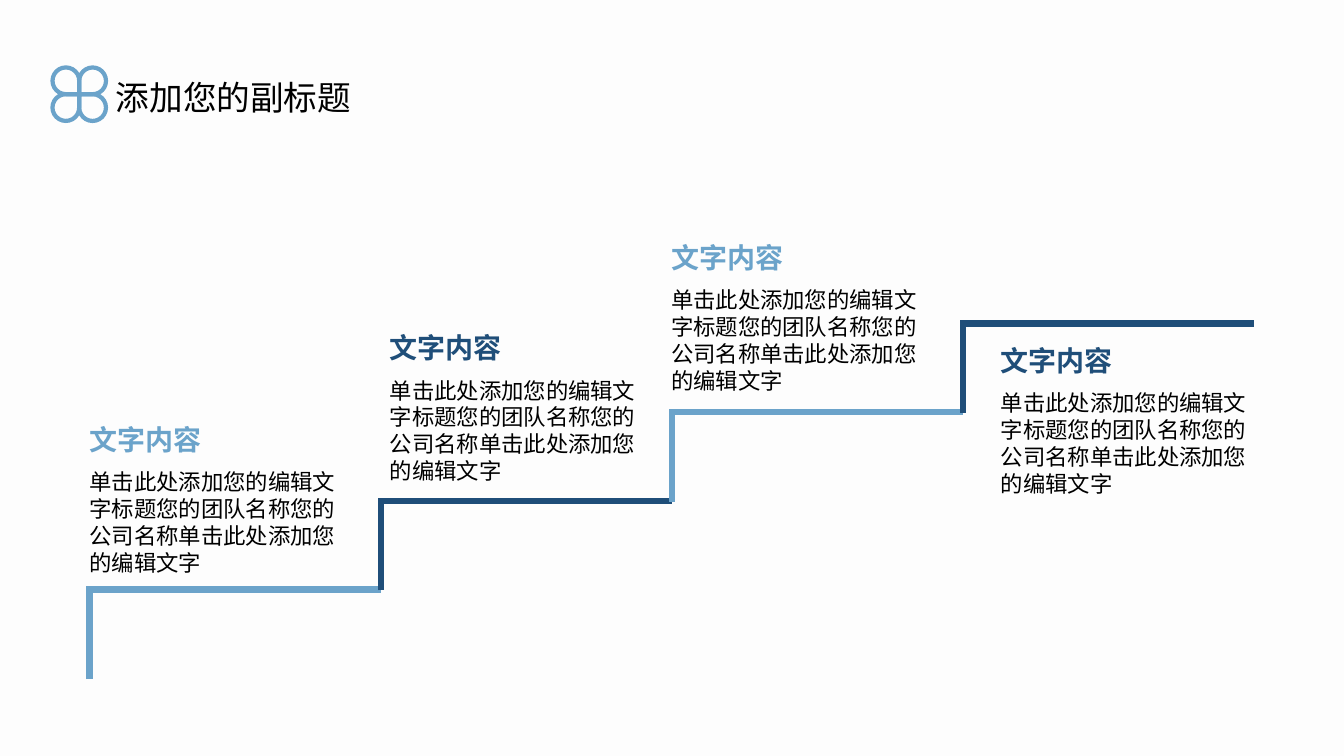
from pptx import Presentation
from pptx.dml.color import RGBColor
from pptx.enum.shapes import MSO_SHAPE
from pptx.enum.text import MSO_ANCHOR, MSO_AUTO_SIZE, PP_ALIGN
from pptx.oxml.ns import qn
from pptx.util import Pt
from lxml.etree import SubElement

LIGHT = RGBColor(0x6B, 0xA3, 0xCA)
DARK = RGBColor(0x1F, 0x4E, 0x79)
BLACK = RGBColor(0, 0, 0)
PAPER = RGBColor(0xFD, 0xFD, 0xFD)

CJK_FONT = "Noto Sans CJK SC"
TITLE = {"size": Pt(24), "name": CJK_FONT, "bold": False}
HEADING = {"size": Pt(20), "name": CJK_FONT, "bold": True}
BODY = {"size": Pt(16), "name": "Open Sans", "bold": False}
LINE_HEIGHT = 1.2

HEADING_TEXT = "文字内容"
BODY_TEXT = "单击此处添加您的编辑文字标题您的团队名称您的公司名称单击此处添加您的编辑文字"


class StairSlide:
    """Holds the current slide and its drawing style."""

    def __init__(self, prs):
        self.s = prs.slides.add_slide(prs.slide_layouts[5])
        fill = self.s.background.fill
        fill.solid()
        fill.fore_color.rgb = PAPER

    def set_text(self, sp, text, style, color):
        tf = sp.text_frame
        frame = {"word_wrap": True, "auto_size": MSO_AUTO_SIZE.NONE,
                 "vertical_anchor": MSO_ANCHOR.TOP, "margin_top": Pt(5),
                 "margin_bottom": Pt(3.6), "margin_left": Pt(7.2),
                 "margin_right": Pt(7.2)}
        for key, value in frame.items():
            setattr(tf, key, value)
        p = tf.paragraphs[0]
        p.alignment = PP_ALIGN.LEFT
        p.line_spacing = Pt(style["size"].pt * LINE_HEIGHT)
        r = p.add_run()
        r.text = text
        for key, value in style.items():
            setattr(r.font, key, value)
        r.font.color.rgb = color
        ea = SubElement(r._r.get_or_add_rPr(), qn("a:ea"))
        ea.set("typeface", CJK_FONT)

    def title(self, text, x, y, w, h):
        sp = self.s.shapes.title
        box = {"left": x, "top": y, "width": w, "height": h}
        for key, value in box.items():
            setattr(sp, key, Pt(value))
        self.set_text(sp, text, TITLE, BLACK)

    def text(self, text, x, y, w, h, style, color):
        sp = self.s.shapes.add_textbox(Pt(x), Pt(y), Pt(w), Pt(h))
        self.set_text(sp, text, style, color)

    def outline(self, sp, color, width):
        sp.shadow.inherit = False
        sp.fill.background()
        sp.line.color.rgb = color
        sp.line.width = Pt(width)
        ln = sp._element.spPr.find(qn("a:ln"))
        SubElement(ln, qn("a:miter")).set("lim", "800000")

    def step(self, x, y, w, h, color):
        outline = self.s.shapes.build_freeform(Pt(x), Pt(y + h))
        corners = [(Pt(x), Pt(y)), (Pt(x + w), Pt(y))]
        outline.add_line_segments(corners, close=False)
        self.outline(outline.convert_to_shape(), color, 4.5)

    def petal(self, x, y, size, turn):
        sp = self.s.shapes.add_shape(
            MSO_SHAPE.TEAR, Pt(x), Pt(y), Pt(size), Pt(size))
        sp.rotation = turn
        self.outline(sp, LIGHT, 3)


def main():
    prs = Presentation()
    prs.slide_width, prs.slide_height = Pt(960), Pt(540)
    slide = StairSlide(prs)

    # Title with its four-petal ornament
    slide.title("添加您的副标题", 75.6, 49.7, 196, 36)
    petal = 19.1
    for col, row, turn in [(1, 0, 180), (0, 0, 90), (1, 1, 270), (0, 1, 0)]:
        slide.petal(37.5 + col * petal, 48.2 + row * petal, petal, turn)

    # Staircase rising to the right
    colors = [LIGHT, DARK, LIGHT, DARK]
    for i, color in enumerate(colors):
        slide.step(64 + 208 * i, 421.2 - 63.4 * i, 208, 64, color)

    # A heading and a paragraph for each step
    places = [(56.9, 296.8), (271.4, 231.3), (472.3, 166.8), (707.8, 240.3)]
    for (x, y), color in zip(places, colors):
        slide.text(HEADING_TEXT, x, y, 122, 55, HEADING, color)
        slide.text(BODY_TEXT, x, y + 32.8, 201.6, 85, BODY, BLACK)

    prs.save("out.pptx")


if __name__ == "__main__":
    main()
